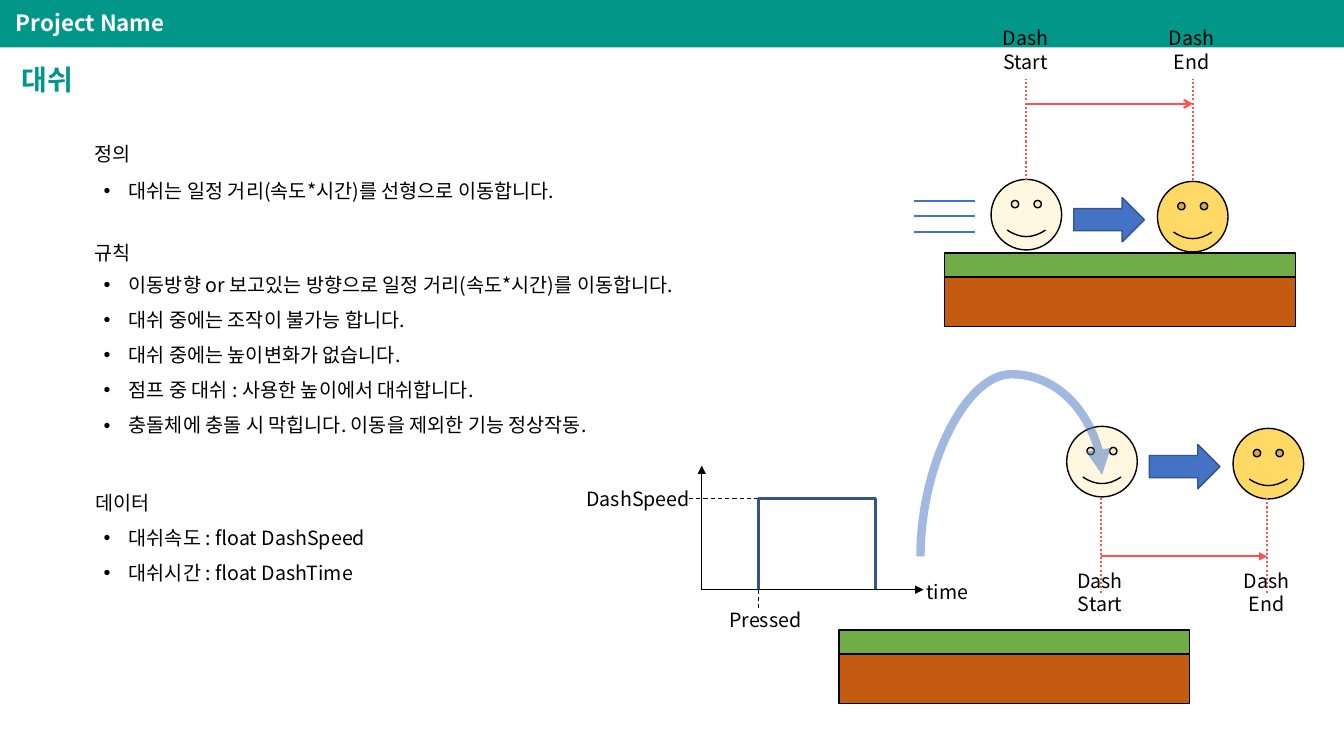
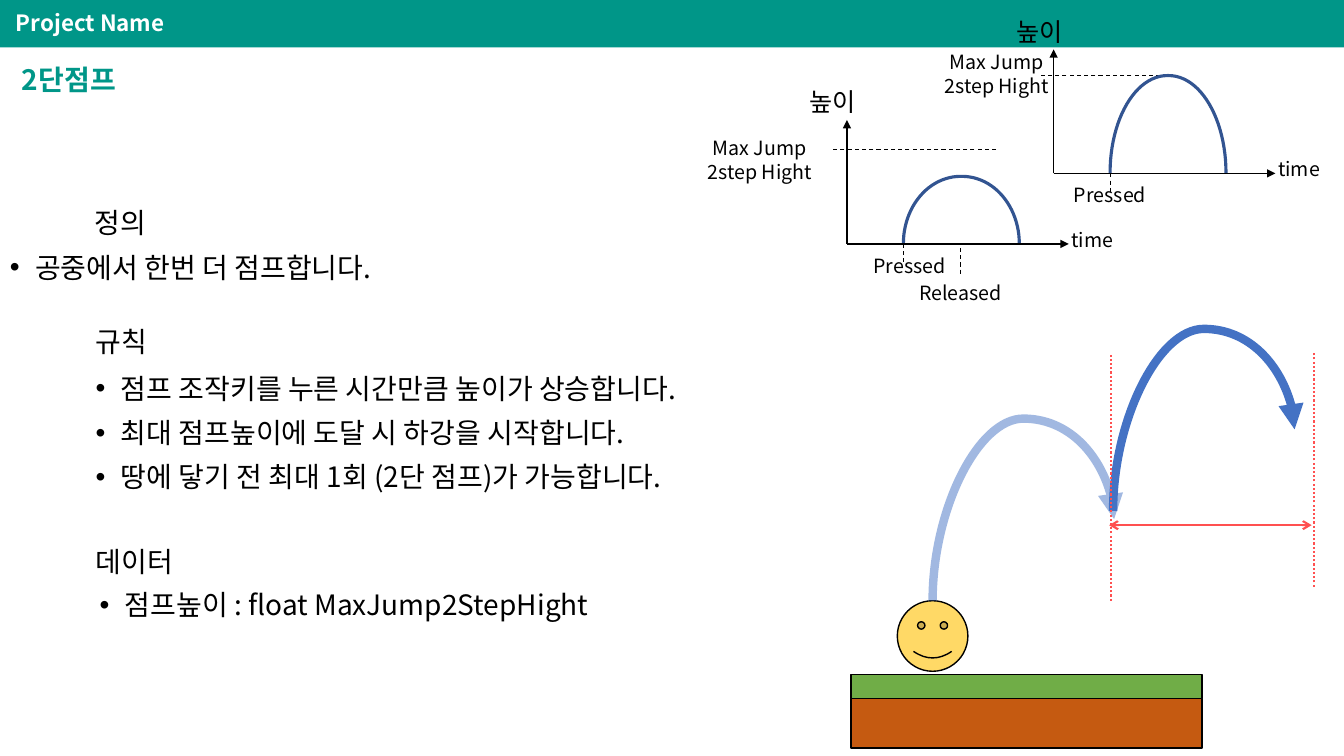
from dataclasses import dataclass

from lxml import etree
from pptx import Presentation
from pptx.dml.color import RGBColor
from pptx.enum.dml import MSO_LINE
from pptx.enum.shapes import MSO_CONNECTOR, MSO_SHAPE
from pptx.enum.text import MSO_ANCHOR, PP_ALIGN
from pptx.oxml.ns import qn
from pptx.util import Inches, Pt

RECT, SMILEY, RIGHT_ARROW = MSO_SHAPE.RECTANGLE, MSO_SHAPE.SMILEY_FACE, MSO_SHAPE.RIGHT_ARROW
STRAIGHT, CURVE = MSO_CONNECTOR.STRAIGHT, MSO_CONNECTOR.CURVE
DASH, DOT = MSO_LINE.DASH, MSO_LINE.ROUND_DOT
LEFT, CENTER = PP_ALIGN.LEFT, PP_ALIGN.CENTER
TOP, MIDDLE = MSO_ANCHOR.TOP, MSO_ANCHOR.MIDDLE


@dataclass(frozen=True)
class Theme:
    """Colours and type sizes shared by the slides."""
    font: str = "Noto Sans CJK KR"
    teal: str = "009688"
    white: str = "FFFFFF"
    black: str = "000000"
    grass: str = "70AD47"
    soil: str = "C55A11"
    face: str = "FFD966"
    blue: str = "4472C4"
    navy: str = "325491"
    red: str = "FF5050"
    title: int = 20
    project: int = 16
    axis_name: int = 18
    small: int = 14
    large: int = 20


THEME = Theme()


def apply(target, values):
    """Set every attribute of a dict on the target."""
    for key, value in values.items():
        setattr(target, key, value)


def fade(element, percent):
    """Give the first solid colour under the element an opacity."""
    color = next(element.iter(qn("a:srgbClr")))
    etree.SubElement(color, qn("a:alpha")).set("val", str(percent * 1000))


def outline(line, color, width):
    """Colour a line and set its width."""
    line.color.rgb = RGBColor.from_string(color)
    line.width = Pt(width)


def text(slide, box, lines, size, color=THEME.black, bold=False, align=LEFT,
         anchor=TOP, spacing=1.0, gap=0, bullet=False):
    """Place paragraphs in a text box."""
    frame = slide.shapes.add_textbox(*map(Inches, box)).text_frame
    apply(frame, {"word_wrap": True, "vertical_anchor": anchor})
    for index, words in enumerate(lines):
        paragraph = frame.paragraphs[0] if index == 0 else frame.add_paragraph()
        apply(paragraph, {"alignment": align, "line_spacing": spacing})
        if index:
            paragraph.space_before = Pt(gap)
        if bullet:
            props = paragraph._p.get_or_add_pPr()
            props.set("marL", str(Inches(0.25)))
            props.set("indent", str(-Inches(0.25)))
            etree.SubElement(props, qn("a:buFont")).set("typeface", "Arial")
            etree.SubElement(props, qn("a:buChar")).set("char", "•")
        run = paragraph.add_run()
        run.text = words
        apply(run.font, {"size": Pt(size), "name": THEME.font, "bold": bold})
        run.font.color.rgb = RGBColor.from_string(color)
        etree.SubElement(run.font._element, qn("a:ea")).set("typeface", THEME.font)


def shape(slide, kind, box, fill, edge=None, opacity=None):
    """Place a filled preset shape."""
    item = slide.shapes.add_shape(kind, *map(Inches, box))
    item.shadow.inherit = False
    item.fill.solid()
    item.fill.fore_color.rgb = RGBColor.from_string(fill)
    if opacity:
        fade(item._element.spPr, opacity)
    if edge:
        outline(item.line, edge, 1)
    else:
        item.line.fill.background()


def line(slide, start, end, color, width, dash=None, head=None, tail=None, kind=STRAIGHT):
    """Draw a connector with optional dashes and arrowheads."""
    item = slide.shapes.add_connector(kind, *map(Inches, (*start, *end)))
    outline(item.line, color, width)
    if dash:
        item.line.dash_style = dash
    for tag, ending in (("a:headEnd", head), ("a:tailEnd", tail)):
        if ending:
            etree.SubElement(item.line._get_or_add_ln(), qn(tag)).set("type", ending)
    etree.SubElement(item._element.spPr, qn("a:effectLst"))
    return item


def header(slide, title):
    """Draw the project band and the slide title."""
    shape(slide, RECT, (0, 0, 13.33, 0.47), THEME.teal)
    text(slide, (0.06, 0.05, 11.49, 0.38), ["Project Name"], THEME.project,
         THEME.white, True, anchor=MIDDLE, spacing=0.9)
    text(slide, (0.12, 0.48, 5.74, 0.65), [title], THEME.title,
         THEME.teal, True, anchor=MIDDLE, spacing=0.9)


def section(slide, heading_at, heading, list_at, items, size):
    """Place a heading and its bullet list."""
    text(slide, (*heading_at, 2.03, 0.43), [heading], size, spacing=0.9)
    text(slide, (*list_at, 7.5, 0.43 * len(items)), items, size,
         spacing=0.9, gap=10, bullet=True)


def ground(slide, x, y):
    """Draw a block of grass over soil."""
    shape(slide, RECT, (x, y, 3.48, 0.24), THEME.grass, THEME.black)
    shape(slide, RECT, (x, y + 0.24, 3.48, 0.49), THEME.soil, THEME.black)


def character(slide, x, y, opacity=None):
    """Draw the player character."""
    shape(slide, SMILEY, (x, y, 0.7, 0.7), THEME.face, THEME.black, opacity)


def dash_move(slide, x, y):
    """Draw the character before and after a dash."""
    character(slide, x, y, 20)
    shape(slide, RIGHT_ARROW, (x + 0.82, y + 0.18, 0.7, 0.44), THEME.blue, THEME.navy)
    character(slide, x + 1.65, y + 0.02)


def dash_range(slide, x, guide_from, guide_to, arrow_y, label_y, tail):
    """Mark the start and end of a dash."""
    for offset, word in ((0, "Start"), (1.65, "End")):
        line(slide, (x + offset, guide_from), (x + offset, guide_to), THEME.red, 1.5, DOT)
        text(slide, (x + offset - 0.47, label_y, 0.92, 0.57), ["Dash", word],
             THEME.small, align=CENTER)
    line(slide, (x, arrow_y), (x + 1.65, arrow_y), THEME.red, 1.5, tail=tail)


def jump_path(slide, x, y, opacity=None):
    """Draw a jump arrow that takes off at the given point."""
    span, rise = 1.8, 0.81
    left, top = x + (span - rise) / 2, y - (span + rise) / 2
    path = line(slide, (left, top), (left + rise, top + span), THEME.blue, 6,
                tail="triangle", kind=CURVE)
    properties = path._element.spPr
    for key, value in {"rot": "5400000", "flipH": "1", "flipV": "1"}.items():
        properties.find(qn("a:xfrm")).set(key, value)
    geometry = properties.find(qn("a:prstGeom"))
    guides = geometry.find(qn("a:avLst"))
    if guides is None:
        guides = etree.SubElement(geometry, qn("a:avLst"))
    guide = etree.SubElement(guides, qn("a:gd"))
    guide.set("name", "adj1")
    guide.set("fmla", "val 223100")
    if opacity:
        fade(properties, opacity)


def bezier(p0, p1, p2, p3, steps=24):
    """Return points along a cubic curve."""
    return [tuple((1 - t) ** 3 * a + 3 * (1 - t) ** 2 * t * b + 3 * (1 - t) * t * t * c + t ** 3 * d
                  for a, b, c, d in zip(p0, p1, p2, p3))
            for t in (step / steps for step in range(steps + 1))]


def arch(height):
    """Return the profile of a jump, relative to where it begins."""
    rise = bezier((0, 0), (0, -0.55 * height), (0.25, -height), (0.57, -height))
    return rise + [(1.15 - dx, dy) for dx, dy in reversed(rise)]


def graph(slide, x, y, profile, level, level_to, level_label, level_at, pressed_at, time_dy):
    """Draw a time graph around its origin."""
    press = x + 0.56
    line(slide, (x + level_to, y - level), (x - 0.15, y - level), THEME.black, 0.75, DASH)
    text(slide, (x + level_at[0], y + level_at[1], level_at[2], 0.34 * len(level_label)),
         level_label, THEME.small, align=CENTER)
    points = [(Inches(press + dx), Inches(y + dy)) for dx, dy in profile]
    builder = slide.shapes.build_freeform(*points[0], scale=1.0)
    builder.add_line_segments(points[1:], close=False)
    curve = builder.convert_to_shape()
    curve.shadow.inherit = False
    curve.fill.background()
    outline(curve.line, THEME.navy, 2.25)
    for end in ((x, y - 1.23), (x + 2.2, y)):
        line(slide, (x, y), end, THEME.black, 1, tail="triangle")
    line(slide, (press, y), (press, y + 0.19), THEME.black, 0.75, DASH)
    text(slide, (x + pressed_at[0], y + pressed_at[1], 1.12, 0.34), ["Pressed"],
         THEME.small, align=CENTER)
    text(slide, (x + 1.76, y + time_dy, 1.35, 0.34), ["time"], THEME.small, align=CENTER)


def jump_graph(slide, x, y, height, level, level_to, level_at, pressed_at):
    """Draw a graph of jump height over time."""
    text(slide, (x - 0.47, y - 1.61, 1.27, 0.4), ["높이"], THEME.axis_name)
    graph(slide, x, y, arch(height), level, level_to, ["Max Jump", "2step Hight"],
          level_at, pressed_at, -0.21)


def dash_slide(slide):
    """Build the slide about dashing."""
    header(slide, "대쉬")
    for heading_at, heading, list_at, items in (
        ((0.84, 1.39), "정의", (0.93, 1.75),
         ["대쉬는 일정 거리(속도*시간)를 선형으로 이동합니다."]),
        ((0.84, 2.37), "규칙", (0.93, 2.68),
         ["이동방향 or 보고있는 방향으로 일정 거리(속도*시간)를 이동합니다.",
          "대쉬 중에는 조작이 불가능 합니다.",
          "대쉬 중에는 높이변화가 없습니다.",
          "점프 중 대쉬 : 사용한 높이에서 대쉬합니다.",
          "충돌체에 충돌 시 막힙니다. 이동을 제외한 기능 정상작동."]),
        ((0.85, 4.85), "데이터", (0.93, 5.19),
         ["대쉬속도 : float DashSpeed", "대쉬시간 : float DashTime"]),
    ):
        section(slide, heading_at, heading, list_at, items, THEME.small)
    ground(slide, 9.37, 2.51)
    dash_move(slide, 9.83, 1.78)
    for index in range(3):
        y = 1.99 + 0.155 * index
        line(slide, (9.67, y), (9.07, y), THEME.blue, 1.5)
    dash_range(slide, 10.18, 1.79, 0.78, 1.03, 0.21, "arrow")
    dash_move(slide, 10.58, 4.23)
    ground(slide, 8.32, 6.25)
    jump_path(slide, 9.13, 5.52, 50)
    dash_range(slide, 10.92, 5.88, 4.93, 5.52, 5.59, "triangle")
    graph(slide, 6.96, 5.85, [(0, 0), (0, -0.9), (1.16, -0.9), (1.16, 0)],
          0.9, 0.56, ["DashSpeed"], (-1.43, -1.07, 1.6), (0.07, 0.13), -0.15)


def double_jump_slide(slide):
    """Build the slide about the double jump."""
    header(slide, "2단점프")
    for heading_at, heading, list_at, items in (
        ((0.84, 2.03), "정의", (0, 2.47), ["공중에서 한번 더 점프합니다."]),
        ((0.85, 3.21), "규칙", (0.85, 3.67),
         ["점프 조작키를 누른 시간만큼 높이가 상승합니다.",
          "최대 점프높이에 도달 시 하강을 시작합니다.",
          "땅에 닿기 전 최대 1회 (2단 점프)가 가능합니다."]),
        ((0.85, 5.39), "데이터", (0.89, 5.82), ["점프높이 : float MaxJump2StepHight"]),
    ):
        section(slide, heading_at, heading, list_at, items, THEME.large)
    jump_graph(slide, 10.45, 1.72, 0.97, 0.97, 1.13, (-1.43, -1.27, 1.73), (0, 0.05))
    jump_graph(slide, 8.4, 2.42, 0.67, 0.94, 1.48, (-1.73, -1.12, 1.73), (0.06, 0.05))
    line(slide, (9.53, 2.46), (9.53, 2.74), THEME.black, 0.75, DASH)
    text(slide, (8.85, 2.74, 1.35, 0.34), ["Released"], THEME.small, align=CENTER)
    ground(slide, 8.44, 6.69)
    character(slide, 8.9, 5.96)
    jump_path(slide, 9.25, 5.96, 50)
    jump_path(slide, 11.04, 5.07)
    for x, bottom in ((11.02, 5.96), (13.03, 5.82)):
        line(slide, (x, bottom), (x, 3.5), THEME.red, 1.5, DOT)
    line(slide, (13.01, 5.21), (11, 5.21), THEME.red, 1.5, head="arrow", tail="arrow")


def main():
    """Build and save the presentation."""
    deck = Presentation()
    apply(deck, {"slide_width": Inches(13.33), "slide_height": Inches(7.5)})
    for build in (dash_slide, double_jump_slide):
        build(deck.slides.add_slide(deck.slide_layouts[6]))
    deck.save("out.pptx")


if __name__ == "__main__":
    main()
